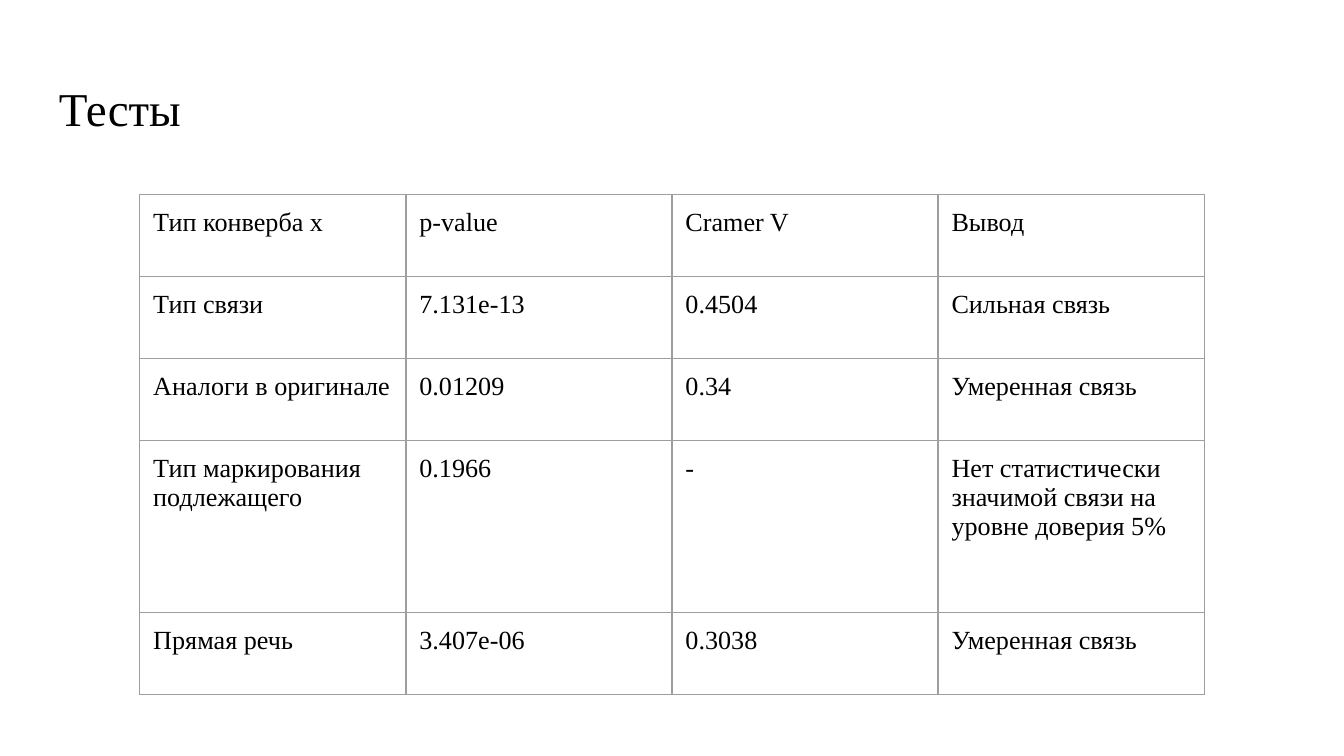
from typing import NamedTuple

from lxml.etree import SubElement
from pptx import Presentation
from pptx.dml.color import RGBColor
from pptx.enum.text import MSO_ANCHOR
from pptx.oxml.ns import qn
from pptx.util import Inches, Pt

COLORS = {"text": "000000", "border": "9E9E9E"}
FONT = "Times New Roman"
SLIDE_WIDTH = 10
SLIDE_HEIGHT = SLIDE_WIDTH * 9 / 16
COLUMN_WIDTH = 1.98
BORDER_WIDTH = Pt(0.75)
INSETS = {f"margin_{side}": Inches(0.1) for side in ("left", "top", "right", "bottom")}


class TestRow(NamedTuple):
    variable: str
    p_value: str
    cramer_v: str
    conclusion: str
    height: float = 0.61


TESTS = [
    TestRow("Тип конверба х", "p-value", "Cramer V", "Вывод"),
    TestRow("Тип связи", "7.131e-13", "0.4504", "Сильная связь"),
    TestRow("Аналоги в оригинале", "0.01209", "0.34", "Умеренная связь"),
    TestRow("Тип маркирования подлежащего", "0.1966", "-",
            "Нет статистически значимой связи на уровне доверия 5%", 1.28),
    TestRow("Прямая речь", "3.407e-06", "0.3038", "Умеренная связь"),
]


def set_format(target, values: dict) -> None:
    for name, value in values.items():
        setattr(target, name, value)


def write(frame, text: str, size: float) -> None:
    run = frame.paragraphs[0].add_run()
    run.text = text
    set_format(run.font, {"name": FONT, "size": Pt(size), "bold": False})
    run.font.color.rgb = RGBColor.from_string(COLORS["text"])


def add_borders(cell) -> None:
    """Outline all four sides; borders must precede the fill in the XML."""
    properties = cell._tc.get_or_add_tcPr()
    for side in ("lnL", "lnR", "lnT", "lnB"):
        line = SubElement(properties, qn(f"a:{side}"), w=str(int(BORDER_WIDTH)))
        fill = SubElement(line, qn("a:solidFill"))
        SubElement(fill, qn("a:srgbClr"), val=COLORS["border"])


def add_title(slide, text: str) -> None:
    title = slide.shapes.add_textbox(Inches(0.34), Inches(0.49), Inches(9.32), Inches(0.63))
    set_format(title.text_frame, INSETS | {
        "word_wrap": True, "vertical_anchor": MSO_ANCHOR.MIDDLE})
    write(title.text_frame, text, 25.2)


def add_test_table(slide, tests: list[TestRow]) -> None:
    columns = len(TestRow._fields) - 1
    table = slide.shapes.add_table(
        len(tests), columns, Inches(1.04), Inches(1.45),
        Inches(columns * COLUMN_WIDTH), Inches(sum(test.height for test in tests)),
    ).table
    set_format(table, {"first_row": False, "horz_banding": False})
    for column in table.columns:
        column.width = Inches(COLUMN_WIDTH)
    for row, test in zip(table.rows, tests):
        row.height = Inches(test.height)
        for cell, text in zip(row.cells, test[:columns]):
            set_format(cell, INSETS | {"vertical_anchor": MSO_ANCHOR.TOP})
            add_borders(cell)
            cell.fill.background()
            write(cell.text_frame, text, 14)


def main() -> None:
    presentation = Presentation()
    set_format(presentation, {
        "slide_width": Inches(SLIDE_WIDTH), "slide_height": Inches(SLIDE_HEIGHT)})
    slide = presentation.slides.add_slide(presentation.slide_layouts[6])
    add_title(slide, "Тесты")
    add_test_table(slide, TESTS)
    presentation.save("out.pptx")


if __name__ == "__main__":
    main()
